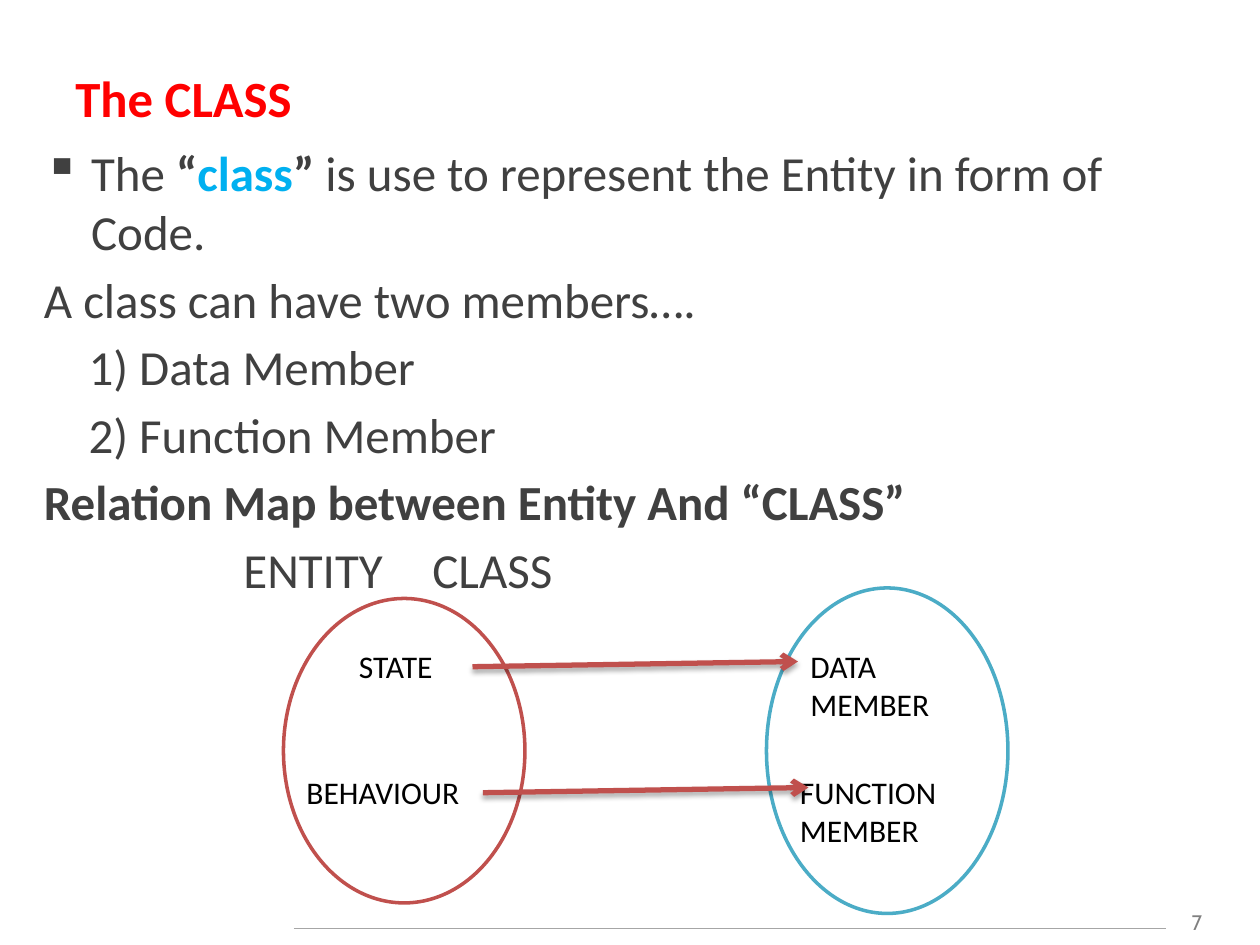
import dataclasses

import lxml.etree
import pptx
import pptx.dml.color
import pptx.enum.shapes
import pptx.enum.text
import pptx.oxml
import pptx.oxml.ns
import pptx.util

Pt = pptx.util.Pt
qn = pptx.oxml.ns.qn
RED, TEAL, DARK, BLACK = "C0504D", "4BACC6", "404040", "000000"
HANGING = 27


@dataclasses.dataclass
class Oval:
    left: float
    top: float
    height: float
    color: str


@dataclasses.dataclass
class Label:
    text: str
    left: float
    top: float
    width: float
    height: float
    size: float = 18
    color: str = BLACK
    font: str = "Calibri"
    bold: bool = False
    grow: bool = True
    anchor: pptx.enum.text.MSO_ANCHOR = pptx.enum.text.MSO_ANCHOR.TOP
    align: pptx.enum.text.PP_ALIGN = pptx.enum.text.PP_ALIGN.LEFT


@dataclasses.dataclass
class BodyLine:
    text: str
    left: float = 0
    bold: bool = False
    tab: float = 0


def rgb(color: str) -> pptx.dml.color.RGBColor:
    """Turn a hex string into a colour."""
    return pptx.dml.color.RGBColor.from_string(color)


def set_font(font, size: float, color: str, name: str = "Calibri", bold: bool = False) -> None:
    """Set the main properties of a font."""
    font.size, font.name, font.bold = Pt(size), name, bold
    font.color.rgb = rgb(color)


def add_frame(slide, left: float, top: float, width: float, height: float):
    """Add a wrapping text box and return its text frame."""
    frame = slide.shapes.add_textbox(Pt(left), Pt(top), Pt(width), Pt(height)).text_frame
    frame.word_wrap = True
    return frame


def add_label(slide, label: Label) -> None:
    """Add a text box with one paragraph."""
    frame = add_frame(slide, label.left, label.top, label.width, label.height)
    frame.vertical_anchor = label.anchor
    if label.grow:
        frame.auto_size = pptx.enum.text.MSO_AUTO_SIZE.SHAPE_TO_FIT_TEXT
    paragraph = frame.paragraphs[0]
    paragraph.text = label.text
    paragraph.alignment = label.align
    set_font(paragraph.font, label.size, label.color, label.font, label.bold)


def add_oval(slide, oval: Oval) -> None:
    """Add a white ellipse with a coloured outline."""
    shape = slide.shapes.add_shape(pptx.enum.shapes.MSO_SHAPE.OVAL, Pt(oval.left),
                                   Pt(oval.top), Pt(138), Pt(oval.height))
    shape.shadow.inherit = False
    shape.fill.solid()
    shape.fill.fore_color.rgb = rgb("FFFFFF")
    shape.line.color.rgb = rgb(oval.color)
    shape.line.width = Pt(2)


def add_line(slide, start: tuple[float, float], end: tuple[float, float],
             color: str, width: float, arrow: bool = False) -> None:
    """Add a plain line, or an arrow with a soft shadow."""
    line = slide.shapes.add_connector(pptx.enum.shapes.MSO_CONNECTOR.STRAIGHT,
                                      *map(Pt, start + end))
    line.line.color.rgb = rgb(color)
    line.line.width = Pt(width)
    properties = line._element.spPr
    effects = lxml.etree.SubElement(properties, qn("a:effectLst"))
    if arrow:
        lxml.etree.SubElement(properties.find(qn("a:ln")), qn("a:tailEnd"), type="arrow")
        shadow = lxml.etree.SubElement(
            effects, qn("a:outerShdw"), blurRad=str(Pt(3.1)), dist=str(Pt(1.8)),
            dir="5400000", rotWithShape="0")
        shade = lxml.etree.SubElement(shadow, qn("a:srgbClr"), val=BLACK)
        lxml.etree.SubElement(shade, qn("a:alpha"), val="35000")


def indent(paragraph, left: float, first: float) -> None:
    """Set the left margin and first-line indent."""
    properties = paragraph._p.get_or_add_pPr()
    properties.set("marL", str(Pt(left)))
    properties.set("indent", str(Pt(first)))


def add_body(slide, lines: list[BodyLine]) -> None:
    """Add the bulleted definition and the lines below it."""
    frame = add_frame(slide, 18, 78, 666, 444)
    definition = frame.paragraphs[0]
    for text, color, bold in [("The ", DARK, False), ("“", DARK, True),
                              ("class", "00B0F0", True), ("” ", DARK, True),
                              ("is use to represent the Entity in form of Code.", DARK, False)]:
        run = definition.add_run()
        run.text = text
        set_font(run.font, 28, color, bold=bold)
    definition.space_before = Pt(5)
    indent(definition, HANGING, -HANGING)
    lxml.etree.SubElement(definition._p.pPr, qn("a:buChar"), char="▪")
    for line in lines:
        paragraph = frame.add_paragraph()
        paragraph.text = line.text
        paragraph.space_before = Pt(5)
        set_font(paragraph.font, 28, DARK, bold=line.bold)
        indent(paragraph, line.left, 0)
        if line.tab:
            tabs = pptx.oxml.parse_xml(
                f'<a:tabLst {pptx.oxml.ns.nsdecls("a")}>'
                f'<a:tab pos="{Pt(line.tab)}" algn="l"/></a:tabLst>')
            paragraph._p.pPr.find(qn("a:defRPr")).addprevious(tabs)


def main() -> None:
    """Build and save the slide."""
    presentation = pptx.Presentation()
    presentation.slide_width, presentation.slide_height = Pt(720), Pt(540)
    slide = presentation.slides.add_slide(presentation.slide_layouts[6])

    add_label(slide, Label("7", 666, 516, 36, 21.6, 12, "808080", "Cabin",
                           align=pptx.enum.text.PP_ALIGN.CENTER))
    add_line(slide, (168, 530.5), (666, 530.5), "A6A6A6", 0.75)
    add_body(slide, [
        BodyLine("A class can have two members…."),
        BodyLine("1) Data Member", 25.5),
        BodyLine("2) Function Member", 25.5),
        BodyLine("Relation Map between Entity And “CLASS”", bold=True),
        BodyLine("ENTITY\tCLASS", 114, tab=326),
    ])
    add_label(slide, Label("The CLASS", 36, 21.6, 648, 68.4, 29, "FF0000", bold=True,
                           grow=False, anchor=pptx.enum.text.MSO_ANCHOR.MIDDLE))

    for oval in [Oval(162, 342, 174, RED), Oval(438, 336, 186, TEAL)]:
        add_oval(slide, oval)
    for label in [Label("STATE", 198, 366, 72, 30), Label("BEHAVIOUR", 168, 438, 126, 29),
                  Label("FUNCTION MEMBER", 450, 438, 114, 51),
                  Label("DATA MEMBER", 456, 366, 114, 51)]:
        add_label(slide, label)
    for left, top in [(270, 378), (276, 450)]:
        add_line(slide, (left, top + 3), (left + 186, top), RED, 3, arrow=True)

    presentation.save("out.pptx")


main()
